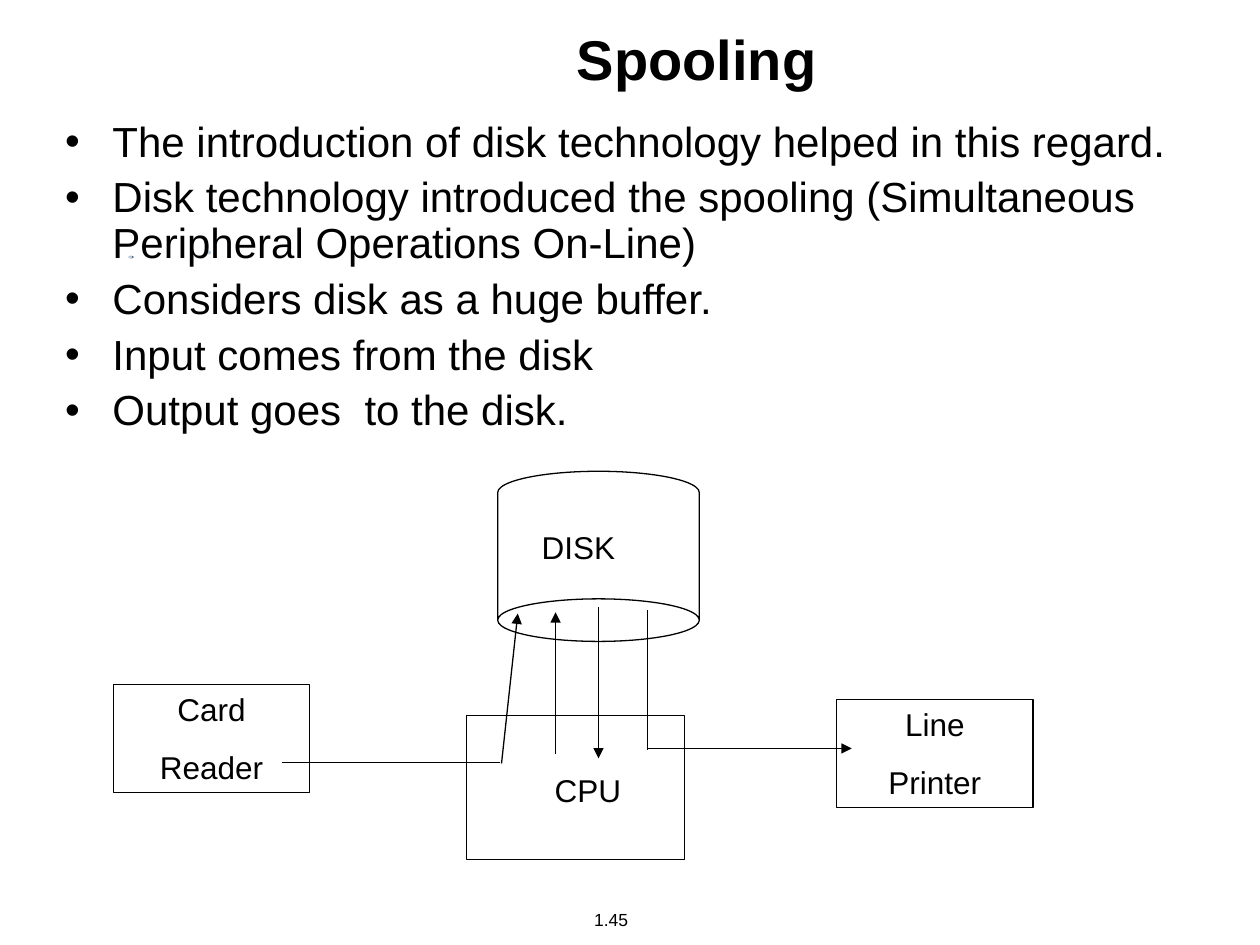
from lxml.etree import SubElement
from pptx import Presentation
from pptx.dml.color import RGBColor
from pptx.enum.shapes import MSO_CONNECTOR, MSO_SHAPE
from pptx.enum.text import MSO_ANCHOR, PP_ALIGN
from pptx.oxml.ns import qn
from pptx.util import Pt

BLACK = RGBColor(0, 0, 0)
NAVY = RGBColor(0x28, 0x4C, 0x70)
PALE = RGBColor(0xBF, 0xCC, 0xD8)

BULLETS = [
    "The introduction of disk technology helped in this regard.",
    "Disk technology introduced the spooling (Simultaneous Peripheral Operations On-Line)",
    "Considers disk as a huge buffer.",
    "Input comes from the disk",
    "Output goes  to the disk.",
]


def write(tf, lines, size, bold=False, align=PP_ALIGN.CENTER, gap=0, bullet=False):
    """Write one paragraph per line into a text frame."""
    for i, line in enumerate(lines):
        p = tf.paragraphs[0] if i == 0 else tf.add_paragraph()
        p.alignment = align
        if i:
            p.space_before = Pt(gap)
        if bullet:
            p.line_spacing = 0.9
            pPr = p._p.get_or_add_pPr()
            pPr.set("marL", str(Pt(27)))
            pPr.set("indent", str(-Pt(27)))
            SubElement(pPr, qn("a:buFont"), typeface="Arial")
            SubElement(pPr, qn("a:buChar"), char="•")
        r = p.add_run()
        r.text = line
        r.font.name, r.font.size, r.font.bold = "Arial", Pt(size), bold
        r.font.color.rgb = BLACK


def add_text(s, box, lines, size, anchor=MSO_ANCHOR.TOP, wrap=True, **style):
    """Add a text box."""
    tf = s.shapes.add_textbox(*map(Pt, box)).text_frame
    tf.word_wrap = wrap
    tf.vertical_anchor = anchor
    write(tf, lines, size, **style)


def add_outline(s, kind, box, lines=()):
    """Add an unfilled black-outlined shape with optional text."""
    sp = s.shapes.add_shape(kind, *map(Pt, box))
    sp.shadow.inherit = False
    sp.fill.background()
    sp.line.color.rgb = BLACK
    sp.line.width = Pt(0.75)
    sp.text_frame.vertical_anchor = MSO_ANCHOR.TOP
    write(sp.text_frame, lines, 18, gap=11.2)
    return sp


def add_line(s, start, end, arrow):
    """Add a straight line, with an arrowhead at its end if asked."""
    c = s.shapes.add_connector(MSO_CONNECTOR.STRAIGHT, *map(Pt, start + end))
    c.line.color.rgb = BLACK
    c.line.width = Pt(0.75)
    if arrow:
        SubElement(c.line._get_or_add_ln(), qn("a:tailEnd"), type="triangle")
    SubElement(c._element.spPr, qn("a:effectLst"))


def add_specks(s, left, top):
    """Add the tiny background specks."""
    specks = [(0, 2.9, 2.9, 1.4, NAVY), (0, 2.9, 2.2, 1.4, PALE), (44, 0, 3.2, 2.1, PALE)]
    for x, y, w, h, color in specks:
        sp = s.shapes.add_shape(MSO_SHAPE.OVAL, Pt(left + x), Pt(top + y), Pt(w), Pt(h))
        sp.shadow.inherit = False
        sp.fill.solid()
        sp.fill.fore_color.rgb = color
        sp.line.fill.background()


def add_diagram(s, left, top):
    """Draw the card reader, CPU, disk and printer with their data flow."""
    def at(x, y, *size):
        return (left + x, top + y, *size)

    device = (112.3, 61.9)
    add_outline(s, MSO_SHAPE.RECTANGLE, at(0, 121.7, *device), ["Card", "Reader"])
    add_outline(s, MSO_SHAPE.RECTANGLE, at(413.3, 130.3, *device), ["Line", "Printer"])
    add_outline(s, MSO_SHAPE.RECTANGLE, at(201.6, 139.7, 124.6, 82.1))
    disk = add_outline(s, MSO_SHAPE.CAN, at(219.6, 0, 115.2, 97.2))
    disk.rotation = 180
    disk.adjustments[0] = 0.25

    add_text(s, at(244.8, 167.8, 52.6, 28.8), ["CPU"], 18, wrap=False)
    add_text(s, at(237.6, 28.8, 56.2, 28.8), ["DISK"], 18, wrap=False)

    flows = [
        ((252.7, 161.3), (252.7, 80.6), True),
        ((277.2, 77.7), (277.2, 164.1), True),
        ((96.5, 166.3), (221, 166.3), False),
        ((221.8, 167), (231.1, 81.3), True),
        ((305.3, 79.2), (305.3, 159.1), False),
        ((305.3, 158.4), (421.9, 158.4), True),
    ]
    for start, end, arrow in flows:
        add_line(s, at(*start), at(*end), arrow)


def main():
    """Build the spooling slide."""
    prs = Presentation()
    prs.slide_width, prs.slide_height = Pt(720), Pt(540)
    s = prs.slides.add_slide(prs.slide_layouts[6])
    add_specks(s, 73.5, 143.3)
    add_text(s, (315.4, 515.5, 67.7, 19.4), ["1.45"], 10, MSO_ANCHOR.MIDDLE, wrap=False)
    add_text(s, (92.2, 0, 612, 66.2), ["Spooling"], 32, MSO_ANCHOR.MIDDLE, bold=True)
    add_text(s, (30.2, 65.5, 673.9, 194.4), BULLETS, 24,
             align=PP_ALIGN.LEFT, gap=6, bullet=True)
    add_diagram(s, 64.8, 269.3)
    prs.save("out.pptx")


if __name__ == "__main__":
    main()
